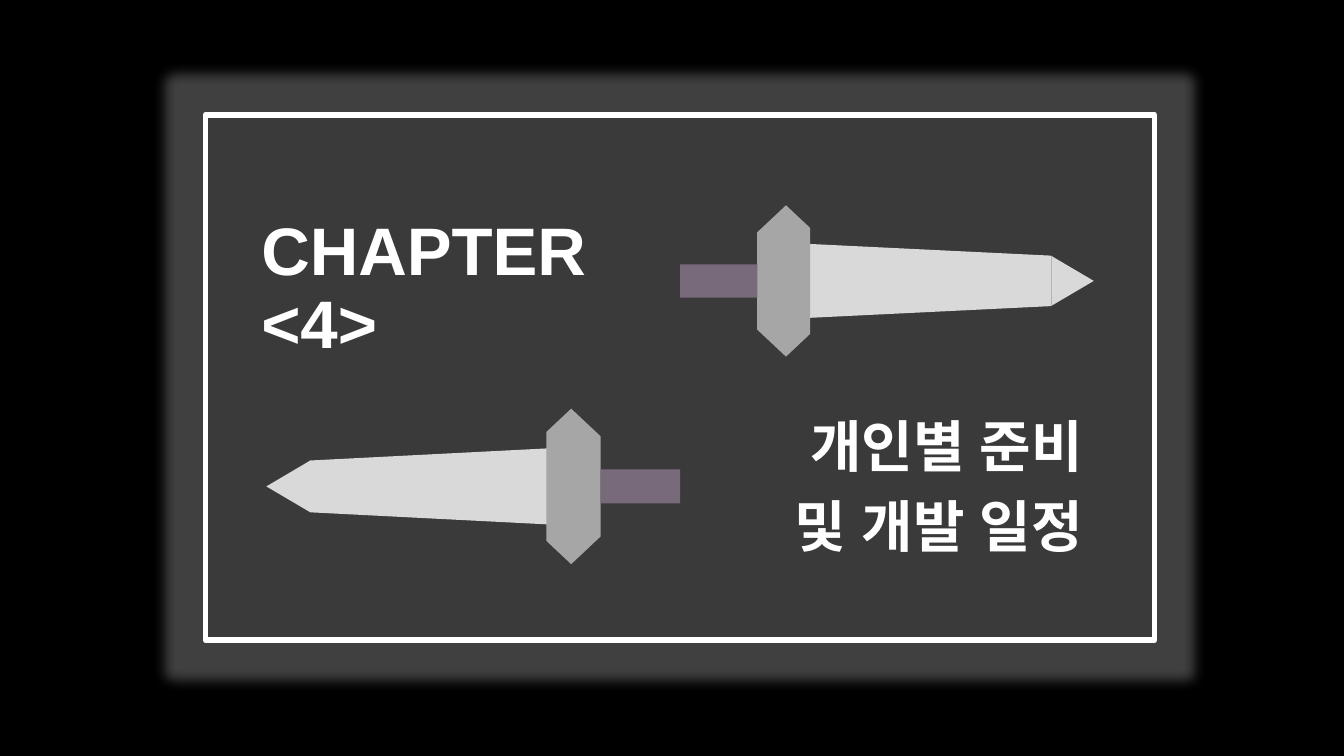
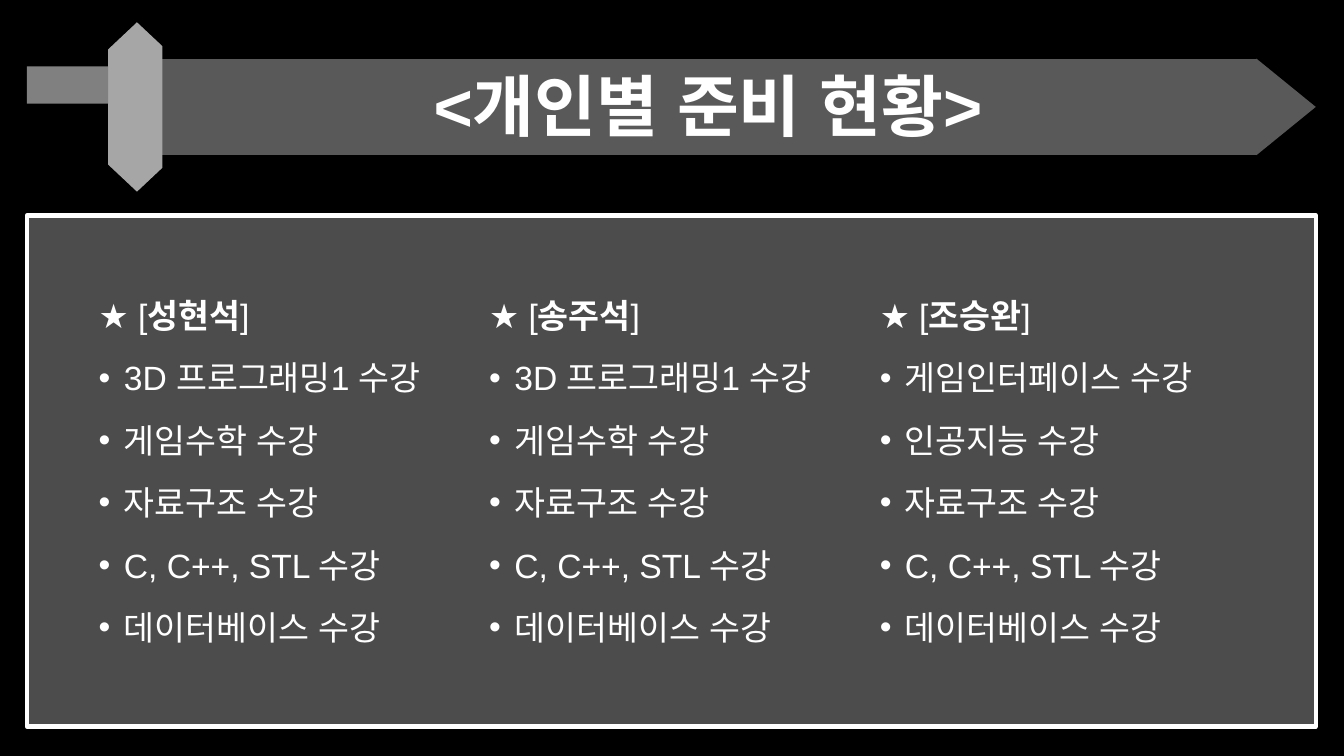
from dataclasses import dataclass

import pptx
import pptx.dml.color
import pptx.enum.shapes
import pptx.enum.text
import pptx.oxml.ns
import pptx.oxml.xmlchemy
import pptx.util

PRESET = pptx.enum.shapes.MSO_SHAPE
ALIGN = pptx.enum.text.PP_ALIGN
ANCHOR = pptx.enum.text.MSO_ANCHOR


@dataclass(frozen=True)
class Theme:
    font: str = "Arial"
    text: str = "FFFFFF"
    background: str = "000000"
    frame: str = "FFFFFF"
    chapter_panel: str = "262626"
    chapter_glow: str = "404040"
    content_panel: str = "808080"
    guard: str = "A6A6A6"
    title_size: int = 48
    subtitle_size: int = 40
    body_size: int = 24


THEME = Theme()


@dataclass(frozen=True)
class Box:
    left: float
    top: float
    width: float
    height: float

    def inner(self, left, top, width, height):
        """Return an inner box given in percent of this one."""
        return Box(self.left + self.width * left / 100,
                   self.top + self.height * top / 100,
                   self.width * width / 100, self.height * height / 100)

    def emu(self):
        return [pptx.util.Emu(round(v)) for v in
                (self.left, self.top, self.width, self.height)]

    def upright(self):
        """Return the box that covers this one after a quarter turn."""
        return Box(self.left + (self.width - self.height) / 2,
                   self.top + (self.height - self.width) / 2,
                   self.height, self.width)


@dataclass(frozen=True)
class SwordStyle:
    """Lengths and breadths are shares of the guard's full height."""
    handle_color: str
    blade_color: str
    handle: float
    guard_back: float
    guard_front: float
    tip: float
    handle_breadth: float
    blade_breadth: float
    tip_breadth: float
    taper: float
    handle_shift: float = 0


CHAPTER_SWORD = SwordStyle("78697B", "D9D9D9", 0.51, 0.19, 0.16, 0.28,
                           0.22, 0.49, 0.33, 0.16)
HEADER_SWORD = SwordStyle("808080", "595959", 0.48, 0.17, 0.15, 0.35,
                          0.22, 0.57, 0.57, 0, -0.13)


def rgb(color):
    return pptx.dml.color.RGBColor.from_string(color)


def child(parent, tag, **attributes):
    element = pptx.oxml.xmlchemy.OxmlElement(tag)
    for key, value in attributes.items():
        element.set(key, str(value))
    parent.append(element)
    return element


def add_solid(shapes, preset, box, color):
    shape = shapes.add_shape(preset, *box.emu())
    shape.shadow.inherit = False
    shape.fill.solid()
    shape.fill.fore_color.rgb = rgb(color)
    shape.line.fill.background()
    return shape


def draw_panel(slide, box, color, opacity, border, glow=None):
    panel = add_solid(slide.shapes, PRESET.RECTANGLE, box, color)
    properties = panel._element.spPr
    tint = properties.find(".//" + pptx.oxml.ns.qn("a:srgbClr"))
    child(tint, "a:alpha", val=opacity * 1000)
    panel.line.color.rgb = rgb(THEME.frame)
    panel.line.width = pptx.util.Pt(border)
    child(properties.find(pptx.oxml.ns.qn("a:ln")), "a:round")
    if glow:
        effects = properties.find(pptx.oxml.ns.qn("a:effectLst"))
        halo = child(effects, "a:glow", rad=pptx.util.Pt(18))
        child(halo, "a:srgbClr", val=glow)


def draw_sword(slide, box, style, points_left=False):
    shapes = slide.shapes.add_group_shape().shapes
    total = box.width / box.height
    guard_middle = style.handle + style.guard_back
    guard_end = guard_middle + style.guard_front
    tip_start = total - style.tip

    def piece(preset, start, end, breadth, color, toward_tip=True,
              inset=None, shift=0):
        left = total - end if points_left else start
        area = Box(box.left + left * box.height,
                   box.top + ((1 - breadth) / 2 + shift) * box.height,
                   (end - start) * box.height, breadth * box.height)
        shape = add_solid(shapes, preset, area.upright(), color)
        shape.rotation = 90 if toward_tip != points_left else 270
        if inset is not None:
            shape.adjustments[0] = inset

    piece(PRESET.TRAPEZOID, style.handle, guard_middle, 1, THEME.guard,
          toward_tip=False, inset=0.94)
    piece(PRESET.RECTANGLE, 0, style.handle, style.handle_breadth,
          style.handle_color, shift=style.handle_shift)
    piece(PRESET.TRAPEZOID, guard_end - 0.02, tip_start,
          style.blade_breadth, style.blade_color, inset=style.taper)
    piece(PRESET.TRAPEZOID, guard_middle, guard_end, 1, THEME.guard,
          inset=0.94)
    piece(PRESET.ISOSCELES_TRIANGLE, tip_start, total, style.tip_breadth,
          style.blade_color)


def format_runs(paragraph, size, bold):
    for run in paragraph.runs:
        run.font.size = pptx.util.Pt(size)
        run.font.bold = bold
        run.font.color.rgb = rgb(THEME.text)
        run.font.name = THEME.font
        child(run._r.get_or_add_rPr(), "a:ea", typeface=THEME.font)


def write_heading(shape, text, size, align):
    frame = shape.text_frame
    frame.text = text
    frame.word_wrap = True
    frame.auto_size = pptx.enum.text.MSO_AUTO_SIZE.NONE
    frame.vertical_anchor = ANCHOR.BOTTOM
    for paragraph in frame.paragraphs:
        paragraph.alignment = align
        paragraph.line_spacing = 0.9
        format_runs(paragraph, size, True)


def place_title(slide, box, text, align):
    """Fill the title placeholder and bring it in front of the artwork."""
    title = slide.shapes.title
    title.left, title.top, title.width, title.height = box.emu()
    write_heading(title, text, THEME.title_size, align)
    slide.shapes._spTree.append(title._element)


def write_member(slide, box, member, courses):
    frame = slide.shapes.add_textbox(*box.emu()).text_frame
    frame.word_wrap = True
    name_line = frame.paragraphs[0]
    for text in ("★ [", member, "]"):
        name_line.add_run().text = text
    name_line.line_spacing = 1.2
    format_runs(name_line, THEME.body_size, False)
    name_line.runs[1].font.bold = True
    indent = pptx.util.Inches(0.25)
    for course in courses:
        line = frame.add_paragraph()
        line.text = course
        properties = line._p.get_or_add_pPr()
        properties.set("marL", str(indent))
        properties.set("indent", str(-indent))
        child(properties, "a:buFont", typeface=THEME.font)
        child(properties, "a:buChar", char="•")
        line.line_spacing = 1.2
        line.space_before = pptx.util.Pt(10)
        format_runs(line, THEME.body_size, False)


def chapter_slide(slide, page, title, subtitle_lines):
    panel = page.inner(15.3, 15.2, 70.6, 69.5)
    draw_panel(slide, panel, THEME.chapter_panel, 20, 4, THEME.chapter_glow)
    draw_sword(slide, panel.inner(50, 17.2, 43.6, 28.8), CHAPTER_SWORD)
    draw_sword(slide, panel.inner(6.4, 55.9, 43.6, 29.6), CHAPTER_SWORD,
               points_left=True)
    place_title(slide, panel.inner(4.8, 14.8, 40.2, 33.4), title, ALIGN.LEFT)
    for row, text in enumerate(subtitle_lines):
        area = panel.inner(50, 55.5 + 15.3 * row, 43.5, 14.8)
        write_heading(slide.shapes.add_textbox(*area.emu()), text,
                      THEME.subtitle_size, ALIGN.RIGHT)


def members_slide(slide, page, title, members):
    panel = page.inner(2, 28.5, 95.9, 67.6)
    draw_panel(slide, panel, THEME.content_panel, 60, 3)
    header = page.inner(2, 2.95, 95.9, 22.4)
    draw_sword(slide, header, HEADER_SWORD)
    place_title(slide, header.inner(10.3, 22, 85.1, 54.2), title, ALIGN.CENTER)
    for column, (member, courses) in enumerate(members.items()):
        area = panel.inner(4.8 + 30.3 * column, 13, 30.5, 81.9)
        write_member(slide, area, member, courses)


def main():
    deck = pptx.Presentation()
    deck.slide_width = pptx.util.Inches(13.33)
    deck.slide_height = pptx.util.Inches(7.5)
    page = Box(0, 0, deck.slide_width, deck.slide_height)
    backdrop = deck.slide_master.background.fill
    backdrop.solid()
    backdrop.fore_color.rgb = rgb(THEME.background)
    title_only = deck.slide_layouts[5]

    chapter_slide(deck.slides.add_slide(title_only), page,
                  "CHAPTER\n<4>", ["개인별 준비", "및 개발 일정"])

    shared = ["자료구조 수강", "C, C++, STL 수강", "데이터베이스 수강"]
    graphics = ["3D 프로그래밍1 수강", "게임수학 수강"] + shared
    interface = ["게임인터페이스 수강", "인공지능 수강"] + shared
    members_slide(deck.slides.add_slide(title_only), page,
                  "<개인별 준비 현황>",
                  {"성현석": graphics, "송주석": graphics, "조승완": interface})
    deck.save("out.pptx")


if __name__ == "__main__":
    main()
